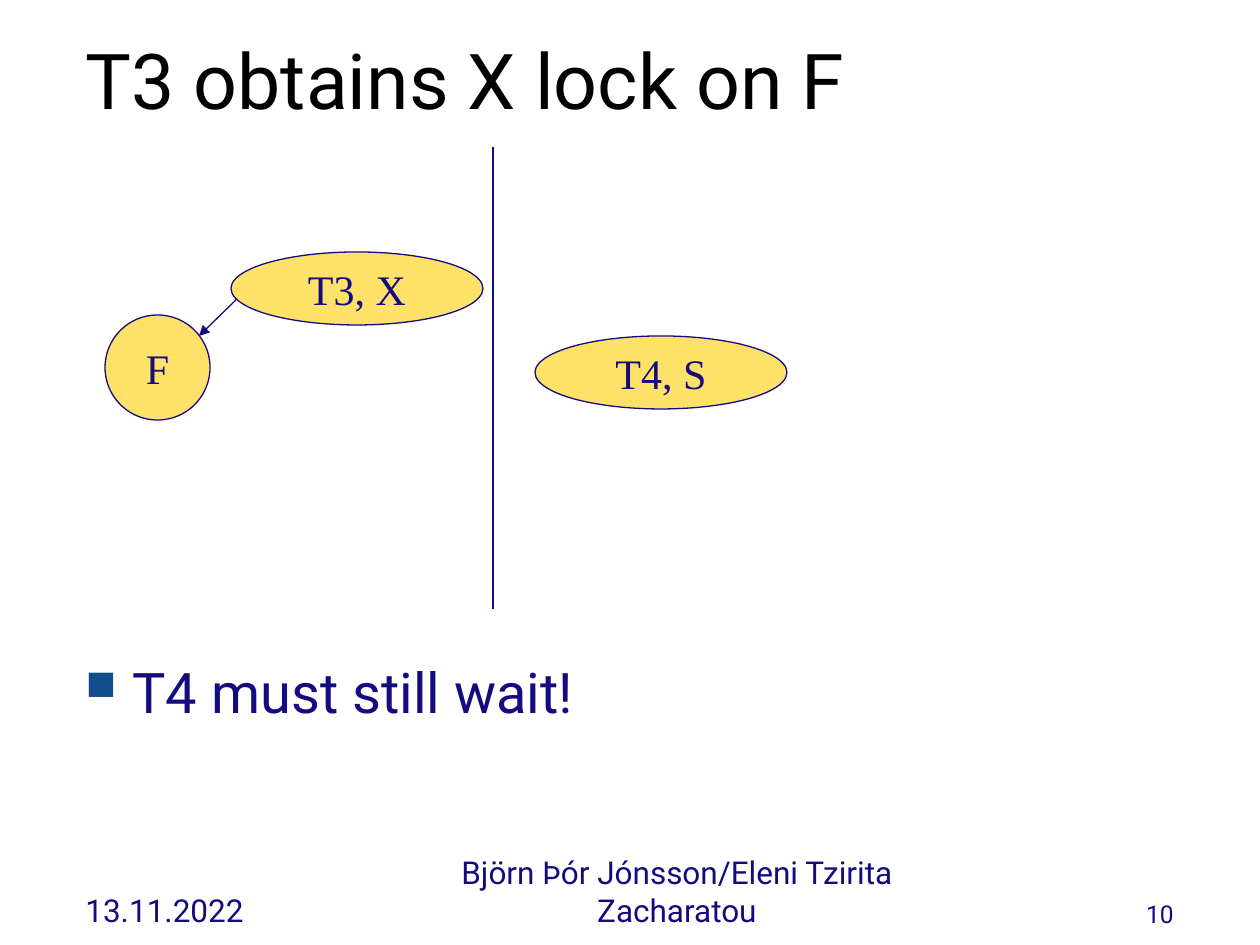
from lxml.etree import SubElement
from pptx import Presentation
from pptx.dml.color import RGBColor
from pptx.enum.shapes import MSO_CONNECTOR, MSO_SHAPE
from pptx.enum.text import MSO_ANCHOR, PP_ALIGN
from pptx.oxml.ns import qn
from pptx.util import Inches, Pt

NAVY, YELLOW, BLUE, BLACK = "130B7F", "FEE168", "114E8B", "000000"
SANS, SERIF = "Roboto", "Times New Roman"


def px(n):
    return Inches(n / 126)


def rgb(value):
    return RGBColor.from_string(value)


class Sketch:
    """Draws styled elements on one slide, with lengths in pixels."""

    def __init__(self, s):
        self.s = s

    def label(self, sp, text, size, font=SANS, color=NAVY,
              align=PP_ALIGN.LEFT, anchor=MSO_ANCHOR.MIDDLE, wrap=True):
        tf = sp.text_frame
        tf.word_wrap = wrap
        tf.vertical_anchor = anchor
        p = tf.paragraphs[0]
        p.alignment = align
        r = p.add_run()
        r.text = text
        r.font.size = Pt(size)
        r.font.name = font
        r.font.color.rgb = rgb(color)
        return p

    def title(self, text, x, y, w, h):
        sp = self.s.shapes.title
        sp.left, sp.top, sp.width, sp.height = map(px, (x, y, w, h))
        self.label(sp, text, 44, color=BLACK)

    def text(self, text, x, y, w, h, size, **style):
        sp = self.s.shapes.add_textbox(*map(px, (x, y, w, h)))
        return self.label(sp, text, size, **style)

    def bullet(self, text, x, y, w, h):
        p = self.text(text, x, y, w, h, 32, anchor=MSO_ANCHOR.TOP)
        pPr = p._p.get_or_add_pPr()
        pPr.set("marL", str(px(47)))
        pPr.set("indent", str(px(-47)))
        space = SubElement(pPr, qn("a:spcBef"))
        SubElement(space, qn("a:spcPct"), val="20000")
        tint = SubElement(pPr, qn("a:buClr"))
        SubElement(tint, qn("a:srgbClr"), val=BLUE)
        SubElement(pPr, qn("a:buSzPct"), val="75000")
        SubElement(pPr, qn("a:buChar"), char="■")

    def ellipse(self, text, x, y, w, h):
        sp = self.s.shapes.add_shape(MSO_SHAPE.OVAL, *map(px, (x, y, w, h)))
        sp.shadow.inherit = False
        sp.fill.solid()
        sp.fill.fore_color.rgb = rgb(YELLOW)
        sp.line.color.rgb = rgb(NAVY)
        sp.line.width = Pt(0.75)
        self.label(sp, text, 24, SERIF, align=PP_ALIGN.CENTER, wrap=False)

    def line(self, x1, y1, x2, y2, arrow=False):
        c = self.s.shapes.add_connector(
            MSO_CONNECTOR.STRAIGHT, *map(px, (x1, y1, x2, y2)))
        c.line.color.rgb = rgb(NAVY)
        c.line.width = Pt(0.75)
        spPr = c._element.spPr
        if arrow:
            SubElement(spPr.find(qn("a:ln")), qn("a:tailEnd"), type="triangle")
        SubElement(spPr, qn("a:effectLst"))


prs = Presentation()
prs.slide_width, prs.slide_height = Inches(10), Inches(7.5)
sketch = Sketch(prs.slides.add_slide(prs.slide_layouts[5]))

sketch.title("T3 obtains X lock on F", 73, 0, 840, 158)
sketch.line(242, 294, 199, 336, arrow=True)
sketch.line(493, 147, 493, 609)
for name, x, y, w, h in (("F", 105, 315, 105, 105),
                         ("T3, X", 231, 252, 252, 73),
                         ("T4, S", 535, 336, 252, 73)):
    sketch.ellipse(name, x, y, w, h)
sketch.bullet("T4 must still wait!", 73, 651, 1113, 210)
for text, x, w, size, align in (
        ("13.11.2022", 73, 262, 18, PP_ALIGN.LEFT),
        ("Björn Þór Jónsson/Eleni Tzirita Zacharatou", 430, 494, 18, PP_ALIGN.CENTER),
        ("10", 924, 262, 14, PP_ALIGN.RIGHT)):
    sketch.text(text, x, 872, w, 63, size, align=align, anchor=MSO_ANCHOR.BOTTOM)

prs.save("out.pptx")
